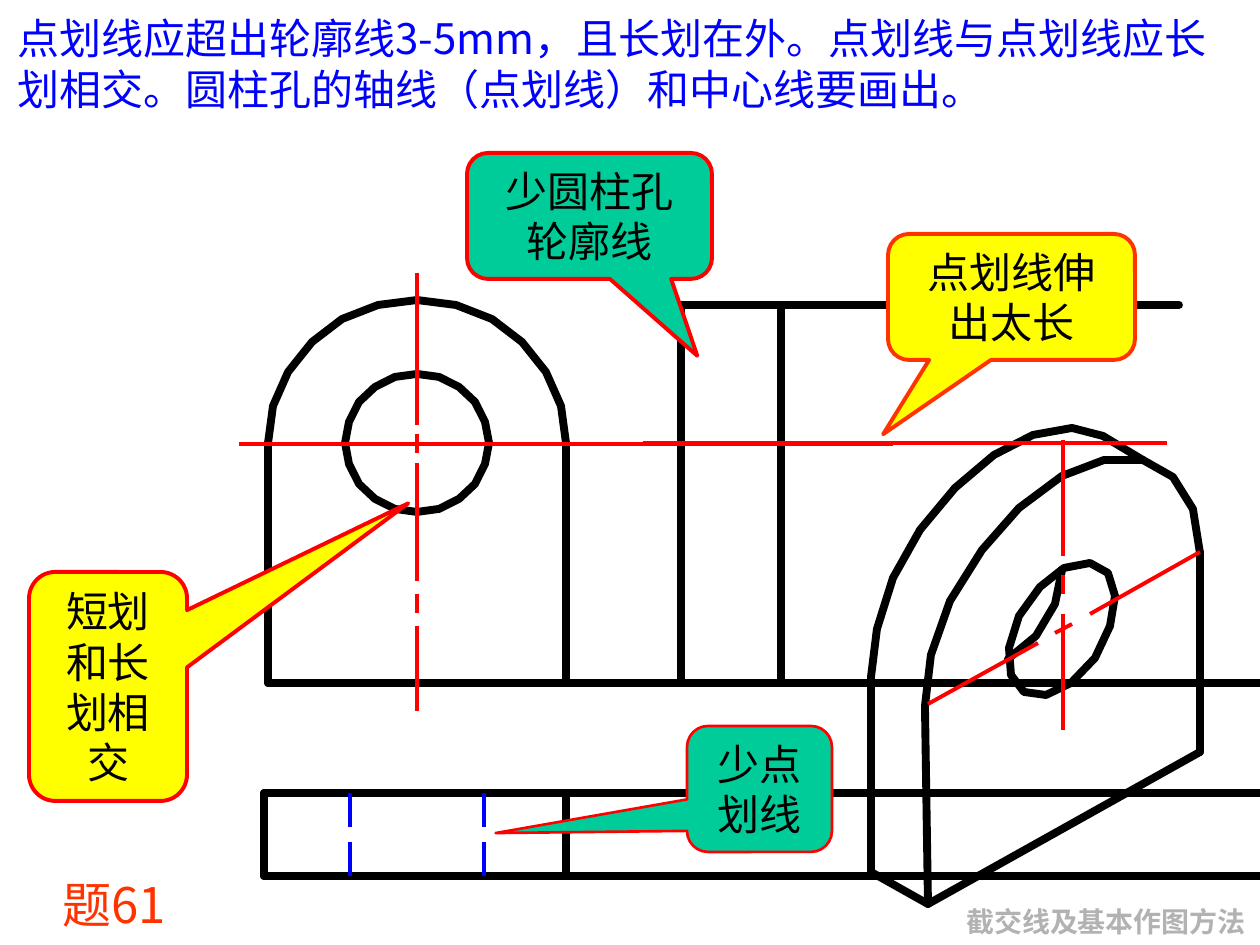
import math
from dataclasses import dataclass

import pptx
import pptx.dml.color
import pptx.enum.shapes
import pptx.enum.text
import pptx.oxml.ns
import pptx.util
from lxml import etree

EMU_PER_PX = 914400 / 126
WIDTH, HEIGHT = 1260, 945
CJK = "Noto Sans CJK SC"
COLORS = {
    "black": "000000",
    "red": "FF0000",
    "orange": "FF3300",
    "blue": "0000FF",
    "yellow": "FFFF00",
    "green": "00CC99",
    "gray": "B2B2B2",
}
Point = tuple[int, int]


@dataclass
class Pen:
    color: str
    width: float
    cap: str = "flat"


@dataclass
class Segment:
    x1: int
    y1: int
    x2: int
    y2: int


@dataclass
class Box:
    x: int
    y: int
    w: int
    h: int


@dataclass
class Callout:
    box: Box
    tip: tuple[float, float]
    fill: str
    pen: Pen
    lines: list[str]


OUTLINE = Pen("black", 4.5, "rnd")
CENTER = Pen("red", 2.25)
HIDDEN = Pen("blue", 2.25)


def px(n: float) -> int:
    return round(n * EMU_PER_PX)


def rgb(name: str) -> pptx.dml.color.RGBColor:
    return pptx.dml.color.RGBColor.from_string(COLORS[name])


def apply_pen(line, pen: Pen) -> None:
    line.color.rgb = rgb(pen.color)
    line.width = pptx.util.Pt(pen.width)


def draw_segment(shapes, seg: Segment, pen: Pen) -> None:
    sp = shapes.add_connector(pptx.enum.shapes.MSO_CONNECTOR.STRAIGHT,
                              px(seg.x1), px(seg.y1), px(seg.x2), px(seg.y2))
    apply_pen(sp.line, pen)
    sp.line._get_or_add_ln().set("cap", pen.cap)
    etree.SubElement(sp._element.spPr, pptx.oxml.ns.qn("a:effectLst"))


def draw_curve(shapes, points: list[Point], close: bool = False) -> None:
    builder = shapes.build_freeform(*points[0], scale=EMU_PER_PX)
    builder.add_line_segments(points[1:], close=close)
    sp = builder.convert_to_shape()
    sp.fill.background()
    sp.shadow.inherit = False
    apply_pen(sp.line, OUTLINE)
    sp.line._get_or_add_ln().set("cap", OUTLINE.cap)


def arc(cx: int, cy: int, rx: int, ry: int, sweep: int, steps: int) -> list[Point]:
    """Corner points of an arc that starts at the right and runs over the top."""
    angles = [math.radians(sweep * i / steps) for i in range(steps + 1)]
    return [(round(cx + rx * math.cos(a)), round(cy - ry * math.sin(a))) for a in angles]


def write(sp, lines: list[str], size: int, color: str, align: str = "CENTER",
          font: str = CJK, bold: bool = False, wrap: bool = True) -> None:
    tf = sp.text_frame
    tf.word_wrap = wrap
    tf.vertical_anchor = pptx.enum.text.MSO_ANCHOR.MIDDLE
    for i, text in enumerate(lines):
        p = tf.paragraphs[0] if i == 0 else tf.add_paragraph()
        p.alignment = pptx.enum.text.PP_ALIGN[align]
        r = p.add_run()
        r.text = text
        r.font.size = pptx.util.Pt(size)
        r.font.bold = bold
        r.font.color.rgb = rgb(color)
        r.font.name = font
        ea = etree.SubElement(r.font._element, pptx.oxml.ns.qn("a:ea"))
        ea.set("typeface", CJK)


def place(box: Box) -> tuple[int, int, int, int]:
    return px(box.x), px(box.y), px(box.w), px(box.h)


def draw_callout(shapes, c: Callout) -> None:
    sp = shapes.add_shape(pptx.enum.shapes.MSO_SHAPE.ROUNDED_RECTANGULAR_CALLOUT,
                          *place(c.box))
    sp.adjustments[0], sp.adjustments[1] = c.tip
    sp.shadow.inherit = False
    sp.fill.solid()
    sp.fill.fore_color.rgb = rgb(c.fill)
    apply_pen(sp.line, c.pen)
    write(sp, c.lines, 24, "black")


FRONT_AND_SIDE = [
    Segment(268, 443, 268, 683), Segment(566, 443, 566, 683),
    Segment(268, 683, WIDTH, 683), Segment(681, 305, 1179, 305),
    Segment(681, 305, 681, 683), Segment(781, 305, 781, 683),
]
TOP_VIEW = [
    Segment(264, 793, WIDTH, 793), Segment(264, 876, WIDTH, 876),
    Segment(264, 793, 264, 876), Segment(566, 793, 566, 876),
]
SOLID_EDGES = [
    Segment(925, 706, 928, 904), Segment(871, 677, 871, 872),
    Segment(1200, 552, 1200, 752), Segment(928, 904, 1200, 752),
    Segment(871, 872, 928, 904), Segment(1103, 436, 1143, 460),
]
SOLID_FRONT = [(1200, 553), (1193, 509), (1173, 477), (1143, 460), (1104, 460), (1062, 476),
               (1019, 508), (982, 550), (950, 601), (931, 655), (925, 706)]
SOLID_BACK = [(1103, 436), (1072, 428), (1033, 435), (994, 455), (955, 488),
              (920, 530), (893, 578), (877, 629), (871, 677)]
SOLID_HOLE = [(1024, 692), (1046, 695), (1071, 683), (1095, 658), (1110, 626), (1115, 596),
              (1108, 573), (1090, 563), (1064, 568), (1040, 587), (1019, 616), (1009, 648),
              (1011, 675)]
SOLID_HOLE_DEPTH = [(1008, 659), (1036, 636), (1055, 604), (1062, 570)]
HIDDEN_EDGES = [Segment(x, y, x, y + 34) for x in (350, 484) for y in (793, 842)]
AXES = [Segment(239, 444, 893, 444), Segment(643, 443, 1167, 443)]
FRONT_AXIS = [Segment(417, top, 417, bottom) for top, bottom in
              ((273, 425), (434, 453), (463, 581), (594, 613), (626, 711))]
SOLID_AXES = [Segment(1063, top, 1063, bottom) for top, bottom in
              ((440, 556), (575, 594), (614, 730))] + [
    Segment(928, 704, 1038, 643), Segment(1055, 633, 1072, 624), Segment(1090, 614, 1200, 552)]

CALLOUTS = [
    Callout(Box(888, 234, 247, 126), (-0.52, 1.09), "yellow", Pen("orange", 2.25),
            ["点划线伸", "出太长"]),
    Callout(Box(687, 726, 145, 126), (-1.82, 0.35), "green", Pen("red", 1.5),
            ["少点", "划线"]),
    Callout(Box(467, 153, 245, 126), (0.44, 1.11), "green", CENTER,
            ["少圆柱孔", "轮廓线"]),
    Callout(Box(29, 572, 158, 229), (1.9, -0.8), "yellow", CENTER,
            ["短划", "和长", "划相", "交"]),
]


def main() -> None:
    prs = pptx.Presentation()
    prs.slide_width, prs.slide_height = px(WIDTH), px(HEIGHT)
    s = prs.slides.add_slide(prs.slide_layouts[5])
    shapes = s.shapes

    title = shapes.title
    title.left, title.top, title.width, title.height = place(Box(5, 6, 1247, 114))
    write(title, ["点划线应超出轮廓线3-5mm，且长划在外。点划线与点划线应长划相交。"
                  "圆柱孔的轴线（点划线）和中心线要画出。"], 24, "blue", "LEFT")

    draw_curve(shapes, arc(417, 443, 149, 143, 180, 12))
    draw_curve(shapes, arc(417, 443, 72, 69, 360, 20)[:-1], close=True)
    for points in (SOLID_FRONT, SOLID_BACK, SOLID_HOLE_DEPTH):
        draw_curve(shapes, points)
    draw_curve(shapes, SOLID_HOLE, close=True)

    for pen, segments in ((OUTLINE, FRONT_AND_SIDE + TOP_VIEW + SOLID_EDGES),
                          (HIDDEN, HIDDEN_EDGES),
                          (CENTER, AXES + FRONT_AXIS + SOLID_AXES)):
        for seg in segments:
            draw_segment(shapes, seg, pen)

    for callout in CALLOUTS:
        draw_callout(shapes, callout)

    number = shapes.add_textbox(*place(Box(29, 868, 170, 72)))
    write(number, ["题61"], 28, "orange")
    footer = shapes.add_textbox(*place(Box(952, 898, 308, 47)))
    write(footer, ["截交线及基本作图方法"], 16, "gray",
          font="Times New Roman", bold=True, wrap=False)

    prs.save("out.pptx")


if __name__ == "__main__":
    main()
